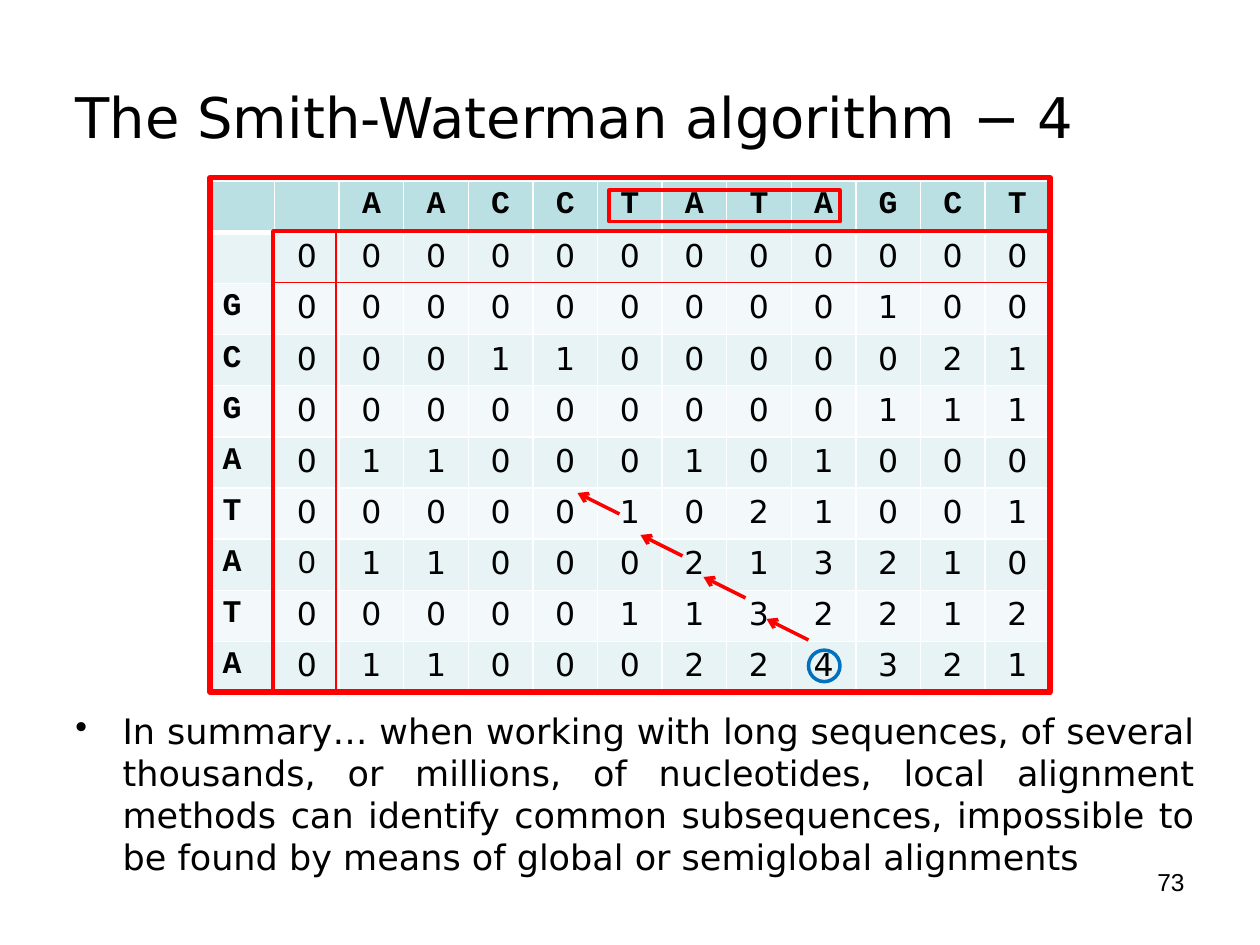
from pptx import Presentation
from pptx.dml.color import RGBColor
from pptx.enum.shapes import MSO_CONNECTOR, MSO_SHAPE
from pptx.enum.text import MSO_ANCHOR, PP_ALIGN
from pptx.oxml import parse_xml
from pptx.oxml.ns import nsdecls, qn
from pptx.oxml.xmlchemy import OxmlElement
from pptx.util import Pt

# Content
TITLE = "The Smith-Waterman algorithm − 4"
TOP = "AACCTATAGCT"
SIDE = " GCGATATA"
SCORES = [
    "000000000000",
    "000000000100",
    "000110000021",
    "000000000111",
    "011000101000",
    "000001021001",
    "011000213210",
    "000001132212",
    "011000224321",
]
NOTE = ("In summary… when working with long sequences, of several thousands, "
        "or millions, of nucleotides, local alignment methods can identify "
        "common subsequences, impossible to be found by means of global or "
        "semiglobal alignments")
PAGE = "73"

# Look
SANS, MONO, ARIAL = "DejaVu Sans", "Courier New", "Arial"
BLACK = RGBColor(0, 0, 0)
RED = RGBColor(0xFF, 0, 0)
BLUE = RGBColor(0, 0x70, 0xC0)
HEAD = RGBColor(0xBB, 0xE0, 0xE3)
BANDS = [RGBColor(0xE7, 0xF3, 0xF4), RGBColor(0xF3, 0xF9, 0xFA)]
ARIAL_CELL = (7, 1)

# Geometry in points: left, top, width, height
GRID = (120, 103.5, 480, 292.3)
OUTER = (120, 101.5, 480, 294)
INNER = (156, 132, 444, 264)
MOTIF = (348, 108.7, 132, 18)
BEST = (462, 371.5, 18, 18)
RULES = [(156, 161.3, 600, 161.3), (192, 132, 192, 395.5)]
STEPS = [(354 + 36 * i, 293.7 + 24 * i) for i in range(4)]


def style(par, size, face, bold=False, align=PP_ALIGN.LEFT):
    par.alignment = align
    font = par.font
    font.size, font.name, font.bold = Pt(size), face, bold
    font.color.rgb = BLACK
    for run in par.runs:
        run.font.size, run.font.name, run.font.bold = Pt(size), face, bold
        run.font.color.rgb = BLACK


def border(cell, row):
    props = cell._tc.get_or_add_tcPr()
    widths = {"L": 1, "R": 1, "T": 3 if row == 1 else 1, "B": 1 if row else 3}
    for side, width in widths.items():
        props.append(parse_xml(
            f'<a:ln{side} {nsdecls("a")} w="{Pt(width)}"><a:solidFill>'
            f'<a:srgbClr val="FFFFFF"/></a:solidFill></a:ln{side}>'))


def outline(slide, kind, box, color, width):
    shape = slide.shapes.add_shape(kind, *map(Pt, box))
    shape.shadow.inherit = False
    shape.fill.background()
    shape.line.color.rgb = color
    shape.line.width = Pt(width)


def link(slide, ends, width, arrow=False):
    line = slide.shapes.add_connector(MSO_CONNECTOR.STRAIGHT, *map(Pt, ends))
    line.line.color.rgb = RED
    line.line.width = Pt(width)
    props = line._element.spPr
    if arrow:
        tip = OxmlElement("a:tailEnd")
        tip.set("type", "arrow")
        props.find(qn("a:ln")).append(tip)
    props.append(OxmlElement("a:effectLst"))


def write(slide, box, text):
    frame = slide.shapes.add_textbox(*map(Pt, box)).text_frame
    frame.word_wrap = True
    frame.text = text
    return frame.paragraphs[0]


def main():
    deck = Presentation()
    deck.slide_width, deck.slide_height = Pt(720), Pt(540)
    slide = deck.slides.add_slide(deck.slide_layouts[5])

    # Title
    title = slide.shapes.title
    title.left, title.top, title.width, title.height = map(Pt, (36, 21.6, 648, 90))
    title.text_frame.text = TITLE
    title.text_frame.vertical_anchor = MSO_ANCHOR.MIDDLE
    style(title.text_frame.paragraphs[0], 32, SANS)

    # Score matrix
    rows = ["  " + TOP] + [s + r for s, r in zip(SIDE, SCORES)]
    high, wide = len(rows), len(rows[0])
    table = slide.shapes.add_table(high, wide, *map(Pt, GRID)).table
    for col in table.columns:
        col.width = Pt(GRID[2] / wide)
    for r, row in enumerate(rows):
        table.rows[r].height = Pt(GRID[3] / high)
        for c, mark in enumerate(row):
            cell = table.cell(r, c)
            border(cell, r)
            cell.fill.solid()
            cell.fill.fore_color.rgb = BANDS[(r - 1) % 2] if r else HEAD
            cell.text_frame.text = mark.strip()
            base = r == 0 or c == 0
            face = MONO if base else ARIAL if (r, c) == ARIAL_CELL else SANS
            align = PP_ALIGN.CENTER if c else PP_ALIGN.LEFT
            style(cell.text_frame.paragraphs[0], 18, face, base, align)

    # Best score and the path back from it
    outline(slide, MSO_SHAPE.OVAL, BEST, BLUE, 2)
    for x, y in STEPS:
        link(slide, (x, y, x - 24, y - 12), 2, arrow=True)

    # Frames and rules
    for box, width in [(OUTER, 3), (MOTIF, 2), (INNER, 2)]:
        outline(slide, MSO_SHAPE.RECTANGLE, box, RED, width)
    for ends in RULES:
        link(slide, ends, 0.75)

    # Summary bullet
    par = write(slide, (36, 402, 654, 120), NOTE)
    props = par._p.get_or_add_pPr()
    props.set("marL", str(Pt(27)))
    props.set("indent", str(-Pt(27)))
    dot = OxmlElement("a:buChar")
    dot.set("char", "•")
    props.append(dot)
    par.line_spacing = Pt(24)
    style(par, 20, SANS, align=PP_ALIGN.JUSTIFY)

    # Page number
    par = write(slide, (516, 492, 168, 37.5), PAGE)
    style(par, 14, ARIAL, align=PP_ALIGN.RIGHT)

    deck.save("out.pptx")


if __name__ == "__main__":
    main()
